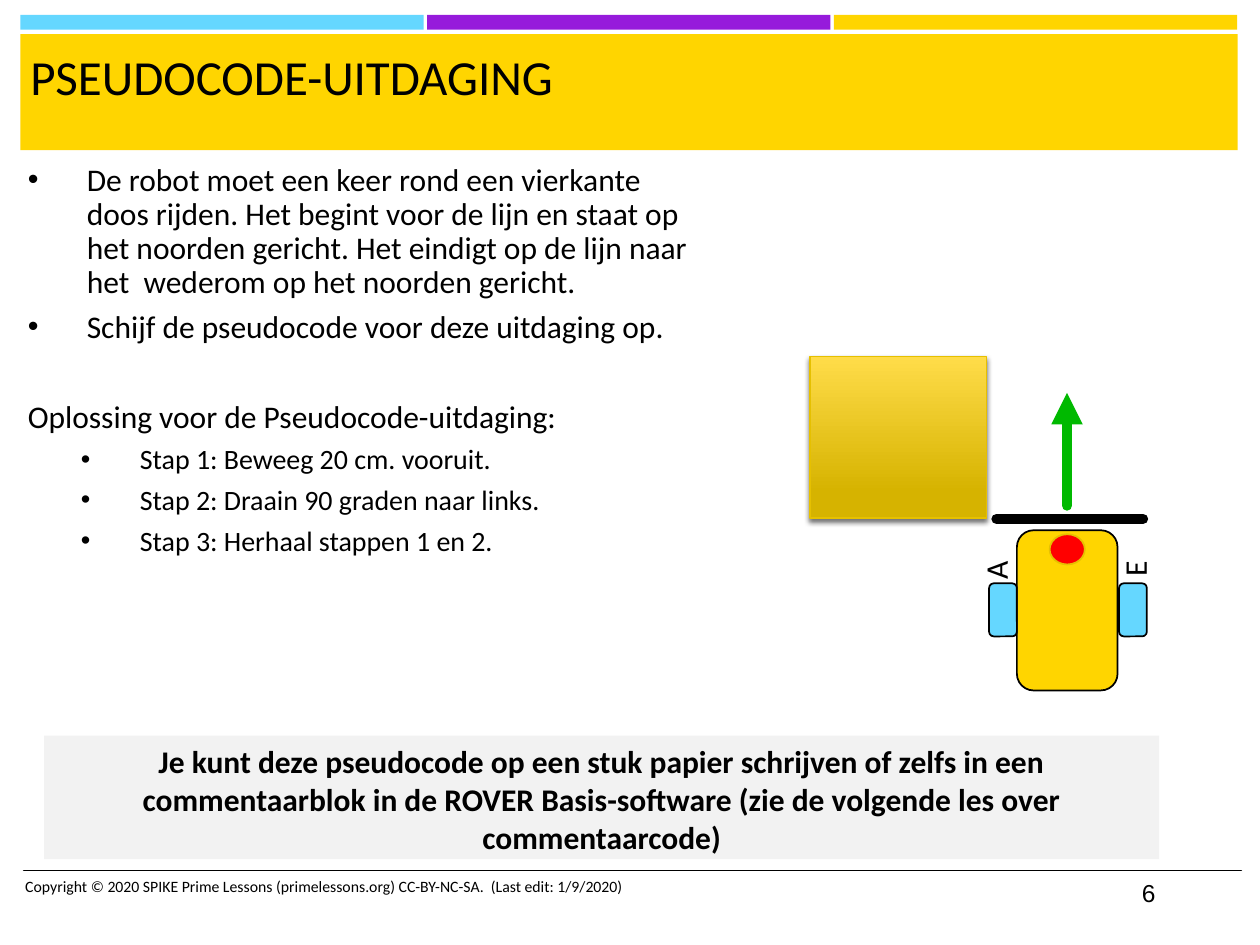
import dataclasses
import typing

import lxml.etree
import pptx
import pptx.dml.color
import pptx.enum.shapes
import pptx.enum.text
import pptx.oxml.ns
import pptx.util

Cm = pptx.util.Cm
Pt = pptx.util.Pt
Kind = pptx.enum.shapes.MSO_SHAPE
Align = pptx.enum.text.PP_ALIGN

COLORS = {
    "black": "000000", "blue": "65D7FF", "purple": "961BDB", "yellow": "FFD500",
    "light_gold": "FFDC49", "dark_gold": "D6B300", "gold_edge": "E6C000",
    "gray": "F2F2F2", "green": "00B900", "red": "FF0000",
}


@dataclasses.dataclass
class Block:
    kind: Kind
    left: float
    top: float
    width: float
    height: float
    fill: str
    edge: typing.Optional[str] = None


@dataclasses.dataclass
class Label:
    text: str
    left: float
    top: float
    width: float
    height: float
    size: float
    font: str = "Calibri"
    rotation: float = 0
    wrap: bool = True


@dataclasses.dataclass
class Stroke:
    start: tuple
    end: tuple
    color: str
    width: float
    arrow: bool = False


@dataclasses.dataclass
class Item:
    text: str
    level: int = 0
    size: float = 18
    margin: float = 1.19
    bullet: bool = True
    before: float = 6


def rgb(name: str) -> pptx.dml.color.RGBColor:
    return pptx.dml.color.RGBColor.from_string(COLORS[name])


def add_element(parent, tag: str, **attributes):
    element = lxml.etree.SubElement(parent, pptx.oxml.ns.qn(tag))
    for name, value in attributes.items():
        element.set(name, value)
    return element


def set_values(target, values: dict) -> None:
    for name, value in values.items():
        setattr(target, name, value)


def place(shape, left: float, top: float, width: float, height: float) -> None:
    set_values(shape, {"left": Cm(left), "top": Cm(top), "width": Cm(width), "height": Cm(height)})


def prepare_frame(frame, wrap: bool = True) -> None:
    set_values(frame, {
        "margin_left": Cm(0.13), "margin_right": Cm(0.13),
        "margin_top": Cm(0.13), "margin_bottom": Cm(0.13),
        "word_wrap": wrap, "auto_size": pptx.enum.text.MSO_AUTO_SIZE.NONE,
        "vertical_anchor": pptx.enum.text.MSO_ANCHOR.TOP,
    })


def write(paragraph, text: str, size: float, font: str = "Calibri",
          bold: bool = False, align: Align = Align.LEFT) -> None:
    paragraph.alignment = align
    run = paragraph.add_run()
    run.text = text
    set_values(run.font, {"name": font, "size": Pt(size), "bold": bold})
    run.font.color.rgb = rgb("black")


def draw_block(shapes, block: Block):
    shape = shapes.add_shape(block.kind, Cm(block.left), Cm(block.top), Cm(block.width), Cm(block.height))
    shape.shadow.inherit = False
    shape.fill.solid()
    shape.fill.fore_color.rgb = rgb(block.fill)
    if block.edge:
        shape.line.color.rgb = rgb(block.edge)
        shape.line.width = Pt(1)
    else:
        shape.line.fill.background()
    return shape


def draw_label(shapes, label: Label) -> None:
    box = shapes.add_textbox(Cm(label.left), Cm(label.top), Cm(label.width), Cm(label.height))
    box.rotation = label.rotation
    prepare_frame(box.text_frame, label.wrap)
    write(box.text_frame.paragraphs[0], label.text, label.size, label.font)


def draw_stroke(shapes, stroke: Stroke) -> None:
    connector = shapes.add_connector(
        pptx.enum.shapes.MSO_CONNECTOR.STRAIGHT, *(Cm(value) for value in stroke.start + stroke.end))
    connector.line.color.rgb = rgb(stroke.color)
    connector.line.width = Pt(stroke.width)
    properties = connector.element.spPr
    line = properties.find(pptx.oxml.ns.qn("a:ln"))
    line.set("cap", "rnd")
    if stroke.arrow:
        add_element(line, "a:tailEnd", type="triangle")
    add_element(properties, "a:effectLst")


def draw_item(paragraph, item: Item) -> None:
    paragraph.level = item.level
    properties = paragraph._p.get_or_add_pPr()
    hanging = Cm(1.19) if item.bullet else 0
    properties.set("marL", str(Cm(item.margin)))
    properties.set("indent", str(-hanging))
    if item.bullet:
        add_element(properties, "a:buSzPct", val="97000")
        add_element(properties, "a:buFont", typeface="Arial")
        add_element(properties, "a:buChar", char="•")
    else:
        add_element(properties, "a:buNone")
    set_values(paragraph, {"line_spacing": 0.9, "space_before": Pt(item.before), "space_after": Pt(0)})
    write(paragraph, item.text, item.size)


def draw_box(shapes) -> None:
    box = draw_block(shapes, Block(Kind.RECTANGLE, 16.33, 7.19, 3.56, 3.25, "yellow", "gold_edge"))
    box.fill.gradient()
    box.fill.gradient_angle = 270
    for stop, (position, color) in zip(box.fill.gradient_stops, [(0, "light_gold"), (0.84, "dark_gold")]):
        stop.position = position
        stop.color.rgb = rgb(color)
    effects = box.element.spPr.find(pptx.oxml.ns.qn("a:effectLst"))
    shadow = add_element(effects, "a:outerShdw", blurRad=str(Pt(3)), dist=str(Pt(2)),
                         dir="5400000", rotWithShape="0")
    add_element(add_element(shadow, "a:srgbClr", val=COLORS["black"]), "a:alpha", val="55000")


def draw_robot(shapes) -> None:
    robot = shapes.add_group_shape().shapes
    draw_block(robot, Block(Kind.ROUNDED_RECTANGLE, 20.5, 10.69, 2.03, 3.23, "yellow", "black"))
    for left in (22.56, 19.94):
        draw_block(robot, Block(Kind.ROUNDED_RECTANGLE, left, 11.76, 0.56, 1.07, "blue", "black"))
    draw_block(robot, Block(Kind.OVAL, 21.16, 10.77, 0.71, 0.61, "red", "gold_edge"))
    for text, left, top in (("A", 19.53, 10.8), ("E", 22.33, 10.74)):
        draw_label(robot, Label(text, left, top, 1.04, 0.99, 18, rotation=270))


def main() -> None:
    presentation = pptx.Presentation()
    presentation.slide_width, presentation.slide_height = Cm(25.4), Cm(19.05)
    slide = presentation.slides.add_slide(presentation.slide_layouts[1])
    shapes = slide.shapes
    title, body = shapes.title, slide.placeholders[1]

    for index, color in enumerate(("blue", "purple", "yellow")):
        draw_block(shapes, Block(Kind.RECTANGLE, 0.41 + 8.2 * index, 0.3, 8.13, 0.3, color))
    draw_block(shapes, Block(Kind.RECTANGLE, 0.41, 0.69, 24.54, 2.34, "yellow"))
    draw_stroke(shapes, Stroke((0.48, 17.55), (25.02, 17.55), "black", 1))
    draw_label(shapes, Label(
        "Copyright © 2020 SPIKE Prime Lessons (primelessons.org) CC-BY-NC-SA.  (Last edit: 1/9/2020)",
        0.38, 17.55, 13.28, 0.61, 9))

    for placeholder, bounds in ((title, (0.48, 0.81, 24.31, 2.08)), (body, (0.43, 3.18, 13.89, 8.92))):
        place(placeholder, *bounds)
        prepare_frame(placeholder.text_frame)
        placeholder.element.getparent().append(placeholder.element)
    write(title.text_frame.paragraphs[0], "PSEUDOCODE-UITDAGING", 28)

    steps = ("Beweeg 20 cm. vooruit.", "Draain 90 graden naar links.", "Herhaal stappen 1 en 2.")
    items = [
        Item("De robot moet een keer rond een vierkante doos rijden. Het begint voor de lijn en staat op "
             "het noorden gericht. Het eindigt op de lijn naar het  wederom op het noorden gericht.", before=0),
        Item("Schijf de pseudocode voor deze uitdaging op."),
        Item("Oplossing voor de Pseudocode-uitdaging:", margin=0, bullet=False, before=32),
    ] + [Item(f"Stap {number}: {step}", 1, 16, 2.26) for number, step in enumerate(steps, 1)]
    for index, item in enumerate(items):
        frame = body.text_frame
        draw_item(frame.add_paragraph() if index else frame.paragraphs[0], item)

    draw_label(shapes, Label("6", 22.89, 17.58, 0.53, 0.81, 14, "Arial", wrap=False))
    draw_box(shapes)
    draw_stroke(shapes, Stroke((20.09, 10.46), (23.04, 10.46), "black", 6))
    note = draw_block(shapes, Block(Kind.RECTANGLE, 0.89, 14.83, 22.48, 2.49, "gray"))
    prepare_frame(note.text_frame)
    write(note.text_frame.paragraphs[0],
          "Je kunt deze pseudocode op een stuk papier schrijven of zelfs in een commentaarblok "
          "in de ROVER Basis-software (zie de volgende les over commentaarcode)",
          18, bold=True, align=Align.CENTER)
    draw_stroke(shapes, Stroke((21.51, 10.19), (21.51, 7.92), "green", 6, arrow=True))
    draw_robot(shapes)
    presentation.save("out.pptx")


if __name__ == "__main__":
    main()
